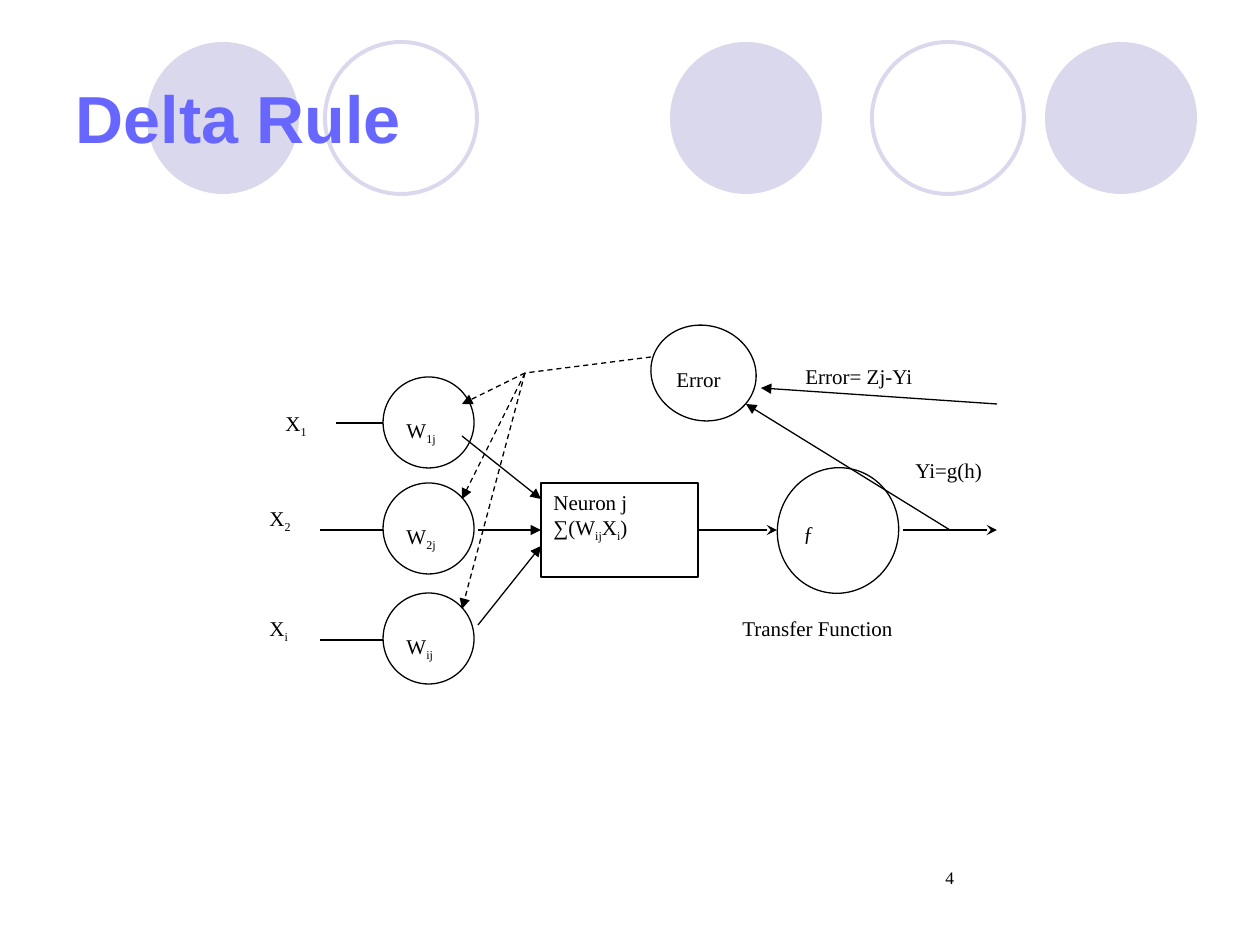
import pptx
import pptx.util
import pptx.dml.color
import pptx.enum.dml
import pptx.enum.shapes
import pptx.enum.text
import pptx.oxml.ns
from lxml import etree

EMU_PER_PX = 914400 / 126
INK, PAPER, LILAC, VIOLET = "000000", "FFFFFF", "D9D8EC", "6767FF"
SERIF, SANS = "Times New Roman", "Arial"
SHAPES = pptx.enum.shapes.MSO_SHAPE
TILT = 105.4


def px(length):
    return pptx.util.Emu(round(length * EMU_PER_PX))


def colour(value):
    return pptx.dml.color.RGBColor.from_string(value)


def format_font(font, size, name=SERIF, ink=INK, bold=False):
    values = {"size": pptx.util.Pt(size), "name": name, "bold": bold}
    for attribute, value in values.items():
        setattr(font, attribute, value)
    font.color.rgb = colour(ink)


def write(frame, text, size=12, anchor=pptx.enum.text.MSO_ANCHOR.TOP, **font):
    values = {
        "word_wrap": True,
        "auto_size": pptx.enum.text.MSO_AUTO_SIZE.NONE,
        "vertical_anchor": anchor,
        "margin_left": pptx.util.Inches(0.1),
        "margin_right": pptx.util.Inches(0.1),
        "margin_top": pptx.util.Inches(0.05),
        "margin_bottom": pptx.util.Inches(0.05),
    }
    for attribute, value in values.items():
        setattr(frame, attribute, value)
    for row, line in enumerate(text.split("\n")):
        paragraph = frame.add_paragraph() if row else frame.paragraphs[0]
        paragraph.alignment = pptx.enum.text.PP_ALIGN.LEFT
        for position, part in enumerate(line.split("_")):
            run = paragraph.add_run()
            run.text = part
            format_font(run.font, size, **font)
            if position % 2:
                run._r.get_or_add_rPr().set("baseline", "-25000")


def add_label(slide, box, text, size=12):
    label = slide.shapes.add_textbox(*map(px, box))
    write(label.text_frame, text, size)
    return label


def add_figure(slide, kind, box, fill=PAPER, line=INK, width=0.75, rotation=0):
    figure = slide.shapes.add_shape(kind, *map(px, box))
    figure.shadow.inherit = False
    figure.rotation = rotation
    if fill:
        figure.fill.solid()
        figure.fill.fore_color.rgb = colour(fill)
    else:
        figure.fill.background()
    if line:
        figure.line.color.rgb = colour(line)
        figure.line.width = pptx.util.Pt(width)
    else:
        figure.line.fill.background()
    return figure


def add_plate(slide, box, text, line=None):
    plate = add_figure(slide, SHAPES.RECTANGLE, box, line=line)
    write(plate.text_frame, text)
    return plate


def add_line(slide, start, end, arrow=None, dashed=False):
    connector = slide.shapes.add_connector(
        pptx.enum.shapes.MSO_CONNECTOR.STRAIGHT, *map(px, start + end))
    connector.line.color.rgb = colour(INK)
    connector.line.width = pptx.util.Pt(0.75)
    if dashed:
        connector.line.dash_style = pptx.enum.dml.MSO_LINE.DASH
    if arrow:
        tail = etree.SubElement(connector.line._get_or_add_ln(), pptx.oxml.ns.qn("a:tailEnd"))
        tail.set("type", arrow)
    etree.SubElement(connector._element.spPr, pptx.oxml.ns.qn("a:effectLst"))
    return connector


def add_heading(slide):
    for left in (670, 1045, 147):
        add_figure(slide, SHAPES.OVAL, (left, 42, 152, 152), fill=LILAC, line=None)
    for left in (872, 325):
        add_figure(slide, SHAPES.OVAL, (left, 42, 152, 152), fill=None, line=LILAC, width=2.25)
    title = slide.shapes.title
    slide.shapes._spTree.append(title._element)
    for side, length in zip(("left", "top", "width", "height"), (63, 38, 1134, 158)):
        setattr(title, side, px(length))
    write(title.text_frame, "Delta Rule", 38, pptx.enum.text.MSO_ANCHOR.MIDDLE,
          name=SANS, ink=VIOLET, bold=True)


def add_input(slide, index, top, line_y, plate_box):
    add_line(slide, (289, line_y), (383, line_y))
    add_figure(slide, SHAPES.OVAL, (383, top, 91, 91), rotation=TILT)
    add_label(slide, (394, top + 34, 83, 45), f"W_{index}j" if index != "i" else "W_ij")
    add_plate(slide, plate_box, f"X_{index}")


def add_output(slide, neuron):
    add_figure(slide, SHAPES.OVAL, (775, 470, 126, 121), rotation=TILT)
    add_label(slide, (791, 514, 111, 63), "ƒ")
    add_line(slide, (698, 530), (777, 530), "stealth").begin_connect(neuron, 3)
    add_line(slide, (903, 530), (997, 530), "stealth")
    add_plate(slide, (903, 451, 126, 63), "Yi=g(h)")
    add_plate(slide, (730, 609, 267, 47), "Transfer Function")


def add_feedback(slide):
    add_figure(slide, SHAPES.OVAL, (656, 320, 95, 106), rotation=TILT)
    add_label(slide, (664, 360, 97, 47), "Error")
    add_line(slide, (950, 530), (746, 404), "triangle")
    add_line(slide, (997, 404), (761, 388), "triangle")
    add_label(slide, (793, 357, 220, 47), "Error= Zj-Yi")
    fork = (525, 373)
    add_line(slide, (651, 357), fork, dashed=True)
    for weight_y in (404, 499, 609):
        add_line(slide, fork, (462, weight_y), "triangle", dashed=True)


def main():
    deck = pptx.Presentation()
    deck.slide_width, deck.slide_height = px(1260), px(945)
    slide = deck.slides.add_slide(deck.slide_layouts[5])
    add_heading(slide)
    neuron = add_plate(slide, (541, 483, 157, 94), "Neuron j\n∑(W_ij_X_i_)", line=INK)
    add_input(slide, "1", 377, 423, (273, 404, 63, 47))
    add_input(slide, "i", 593, 640, (257, 609, 63, 63))
    add_input(slide, "2", 483, 530, (257, 499, 63, 47))
    add_output(slide, neuron)
    add_feedback(slide)
    add_line(slide, (462, 436), (541, 499), "triangle")
    add_line(slide, (478, 625), (541, 546), "triangle")
    add_line(slide, (478, 530), (541, 530), "triangle").end_connect(neuron, 1)
    page_number = add_label(slide, (903, 861, 294, 63), "4", 10)
    page_number.text_frame.paragraphs[0]._p.get_or_add_pPr().set("marL", str(px(30)))
    deck.save("out.pptx")


if __name__ == "__main__":
    main()
